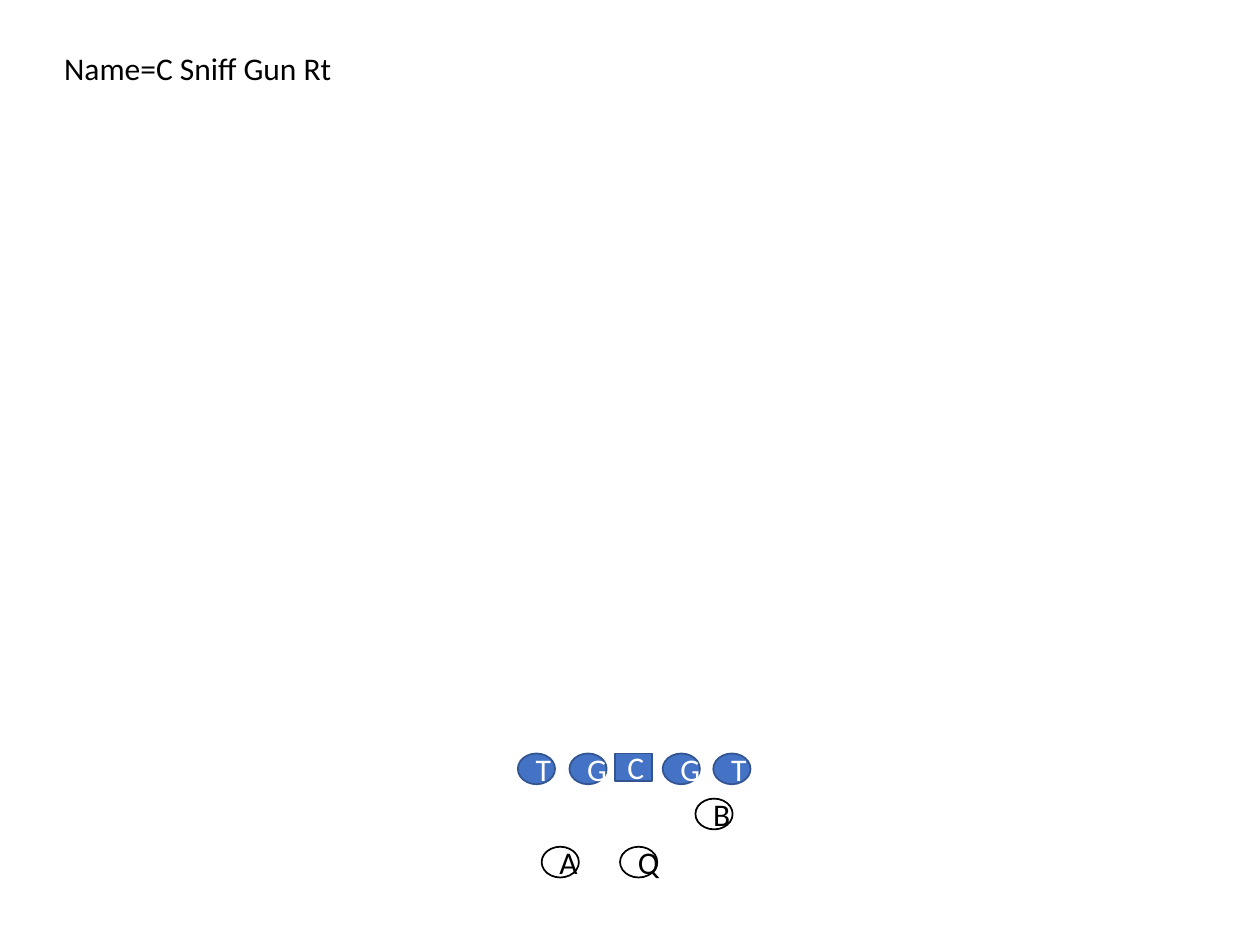
"""Build a football formation slide with the line and the backfield."""
import pptx
import pptx.dml.color
import pptx.enum.shapes
import pptx.enum.text
import pptx.util
from pptx.util import Cm

PLAY_NAME = "Name=C Sniff Gun Rt"
FONT = "Calibri"
COLOURS = {
    "line": {"fill": "4472C4", "outline": "325491", "text": "FFFFFF"},
    "back": {"fill": "FFFFFF", "outline": "000000", "text": "000000"},
}
OVAL = pptx.enum.shapes.MSO_SHAPE.OVAL
SQUARE = pptx.enum.shapes.MSO_SHAPE.RECTANGLE
MARKER_WIDTH = 0.75
MARKER_HEIGHTS = {OVAL: 0.62, SQUARE: 0.56}
ROWS = [
    ("line", 15.19, [("T", 10.44, OVAL), ("G", 11.48, OVAL), ("C", 12.4, SQUARE),
                     ("G", 13.36, OVAL), ("T", 14.38, OVAL)]),
    ("back", 16.1, [("B", 14.02, OVAL)]),
    ("back", 17.07, [("A", 10.92, OVAL), ("Q", 12.5, OVAL)]),
]


def colour(value):
    return pptx.dml.color.RGBColor.from_string(value)


def write_text(shape, text, text_colour, alignment, anchor):
    frame = shape.text_frame
    frame.text = text
    frame.vertical_anchor = anchor
    paragraph = frame.paragraphs[0]
    paragraph.alignment = alignment
    font = paragraph.runs[0].font
    font.name = FONT
    font.size = pptx.util.Pt(18)
    font.color.rgb = colour(text_colour)


def add_play_name(slide):
    title = slide.shapes.title
    title.left, title.top, title.width, title.height = Cm(1.04), Cm(0.86), Cm(5.97), Cm(1.02)
    write_text(title, PLAY_NAME, "000000", pptx.enum.text.PP_ALIGN.LEFT,
               pptx.enum.text.MSO_ANCHOR.TOP)
    title.text_frame.word_wrap = False
    title.text_frame.auto_size = pptx.enum.text.MSO_AUTO_SIZE.SHAPE_TO_FIT_TEXT


def add_player(slide, letter, left, top, outline, palette):
    shape = slide.shapes.add_shape(outline, Cm(left), Cm(top),
                                   Cm(MARKER_WIDTH), Cm(MARKER_HEIGHTS[outline]))
    shape.shadow.inherit = False
    shape.fill.solid()
    shape.fill.fore_color.rgb = colour(palette["fill"])
    shape.line.color.rgb = colour(palette["outline"])
    shape.line.width = pptx.util.Pt(1)
    write_text(shape, letter, palette["text"], pptx.enum.text.PP_ALIGN.CENTER,
               pptx.enum.text.MSO_ANCHOR.MIDDLE)


def main():
    presentation = pptx.Presentation()
    presentation.slide_width, presentation.slide_height = Cm(25.4), Cm(19.05)
    slide = presentation.slides.add_slide(presentation.slide_layouts.get_by_name("Title Only"))
    add_play_name(slide)
    for group, top, players in ROWS:
        for letter, left, outline in players:
            add_player(slide, letter, left, top, outline, COLOURS[group])
    presentation.save("out.pptx")


if __name__ == "__main__":
    main()
